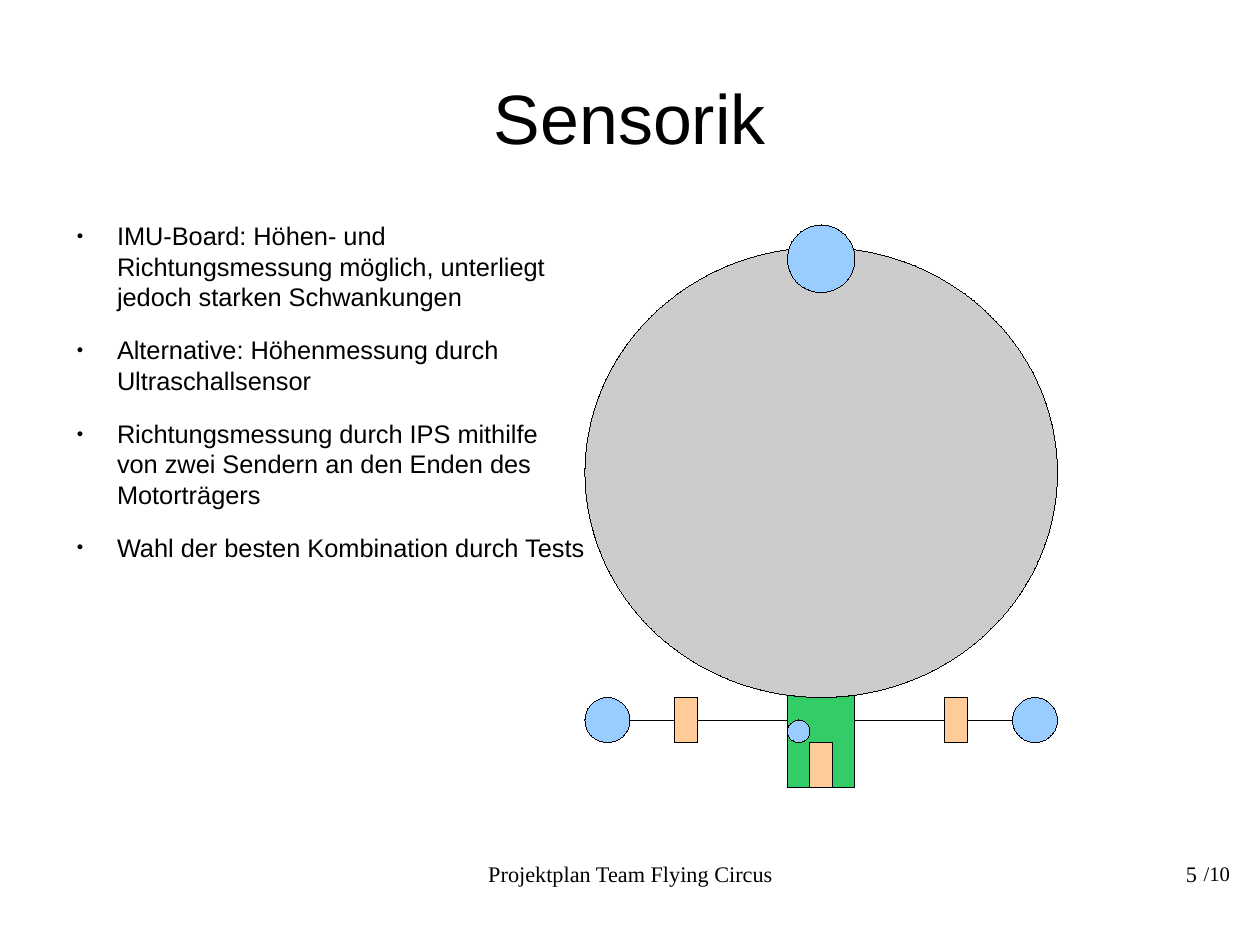
from lxml import etree
from pptx import Presentation
from pptx.dml.color import RGBColor
from pptx.enum.shapes import MSO_CONNECTOR, MSO_SHAPE
from pptx.enum.text import MSO_ANCHOR, MSO_AUTO_SIZE, PP_ALIGN
from pptx.oxml.ns import qn
from pptx.util import Emu, Pt

PX = 9000
HAIRLINE = Emu(1)
STRAIGHT = MSO_CONNECTOR.STRAIGHT
OVAL, RECTANGLE = MSO_SHAPE.OVAL, MSO_SHAPE.RECTANGLE
TOP, MIDDLE = MSO_ANCHOR.TOP, MSO_ANCHOR.MIDDLE
LEFT, CENTER, RIGHT = PP_ALIGN.LEFT, PP_ALIGN.CENTER, PP_ALIGN.RIGHT
NO_AUTOFIT = MSO_AUTO_SIZE.NONE

BLACK = RGBColor(0x00, 0x00, 0x00)
BALLOON_GRAY = RGBColor(0xCC, 0xCC, 0xCC)
SENSOR_BLUE = RGBColor(0x99, 0xCC, 0xFF)
MOTOR_ORANGE = RGBColor(0xFF, 0xCC, 0x99)
GONDOLA_GREEN = RGBColor(0x33, 0xCC, 0x66)

BULLETS = [
    "IMU-Board: Höhen- und Richtungsmessung möglich, unterliegt jedoch starken Schwankungen",
    "Alternative: Höhenmessung durch Ultraschallsensor",
    "Richtungsmessung durch IPS mithilfe von zwei Sendern an den Enden des Motorträgers",
    "Wahl der besten Kombination durch Tests",
]


def place(shape, box):
    """Move a shape to a box given in px."""
    shape.left, shape.top, shape.width, shape.height = (length * PX for length in box)


def prepare_frame(shape, anchor, margin_x=0, margin_y=0):
    """Give a text shape wrapped text with the given margins in px."""
    frame = shape.text_frame
    frame.word_wrap = True
    frame.auto_size = NO_AUTOFIT
    frame.vertical_anchor = anchor
    frame.margin_left = frame.margin_right = margin_x * PX
    frame.margin_top = frame.margin_bottom = margin_y * PX
    return frame


def style_paragraph(paragraph, size, font_name, alignment):
    """Set the font and alignment of a paragraph."""
    paragraph.alignment = alignment
    paragraph.font.size = Pt(size)
    paragraph.font.name = font_name
    paragraph.font.color.rgb = BLACK


def add_bullet(paragraph):
    """Give a paragraph a small round bullet and a hanging indent."""
    properties = paragraph._p.get_or_add_pPr()
    properties.set("marL", str(48 * PX))
    properties.set("indent", str(-36 * PX))
    color = etree.Element(qn("a:buClr"))
    etree.SubElement(color, qn("a:srgbClr"), val=str(BLACK))
    marks = [color,
             etree.Element(qn("a:buSzPct"), val="45000"),
             etree.Element(qn("a:buChar"), char="●")]
    for mark in marks:
        properties.insert_element_before(mark, "a:tabLst", "a:defRPr", "a:extLst")


def fill_title(slide, box):
    """Write the slide title."""
    title = slide.shapes.title
    place(title, box)
    paragraph = prepare_frame(title, MIDDLE).paragraphs[0]
    paragraph.text = "Sensorik"
    style_paragraph(paragraph, 44, "Arial", CENTER)


def fill_body(slide, box):
    """Write the bullet list."""
    body = slide.placeholders[1]
    place(body, box)
    frame = prepare_frame(body, TOP)
    frame.text = "\n".join(BULLETS)
    for paragraph in frame.paragraphs:
        style_paragraph(paragraph, 16, "Arial", LEFT)
        paragraph.space_before = Pt(0)
        paragraph.space_after = Pt(14.2)
        add_bullet(paragraph)


def outline(shape):
    """Draw the line of a shape as a black hairline."""
    shape.line.color.rgb = BLACK
    shape.line.width = HAIRLINE


def add_part(slide, kind, color, center_x, top, width, height):
    """Add one outlined part of the airship, centred on center_x."""
    shape = slide.shapes.add_shape(kind, 0, 0, 0, 0)
    place(shape, (center_x - width // 2, top, width, height))
    shape.shadow.inherit = False
    shape.fill.solid()
    shape.fill.fore_color.rgb = color
    outline(shape)


def draw_airship(slide, box):
    """Draw the balloon, gondola, motors and sensors inside the box."""
    left, top, width, height = box
    middle = left + width // 2
    bottom = top + height
    beam_y = bottom - 60
    beam = slide.shapes.add_connector(STRAIGHT, (left + 20) * PX, beam_y * PX,
                                      (left + width - 20) * PX, beam_y * PX)
    outline(beam)
    etree.SubElement(beam._element.spPr, qn("a:effectLst"))

    for side in (-1, 1):
        add_part(slide, RECTANGLE, MOTOR_ORANGE, middle + side * 120, beam_y - 20, 20, 40)
    add_part(slide, RECTANGLE, GONDOLA_GREEN, middle, bottom - 120, 60, 120)
    for side in (-1, 1):
        add_part(slide, OVAL, SENSOR_BLUE, middle + side * 190, beam_y - 20, 40, 40)
    add_part(slide, OVAL, BALLOON_GRAY, middle, top + 20, width, 400)
    add_part(slide, RECTANGLE, MOTOR_ORANGE, middle, bottom - 40, 20, 40)
    add_part(slide, OVAL, SENSOR_BLUE, middle, top, 60, 60)
    add_part(slide, OVAL, SENSOR_BLUE, middle - 20, beam_y, 20, 20)


def add_footer_text(slide, text, size, alignment, box, margin_x=0, margin_y=0):
    """Add one line of footer text in its box."""
    text_box = slide.shapes.add_textbox(0, 0, 0, 0)
    place(text_box, box)
    paragraph = prepare_frame(text_box, TOP, margin_x, margin_y).paragraphs[0]
    paragraph.text = text
    style_paragraph(paragraph, size, "Times New Roman", alignment)


def draw_footer(slide, box):
    """Write the project name and the page count along the footer box."""
    left, top, width, height = box
    right = left + width
    add_footer_text(slide, "/10", 13, LEFT, (right - 60, top, 60, 30), 10, 5)
    add_footer_text(slide, "Projektplan Team Flying Circus", 14, CENTER,
                    (left, top + 5, 355, height - 5))
    add_footer_text(slide, "5", 14, RIGHT, (right - 317, top + 5, 261, height - 5))


def main():
    """Build and save the slide."""
    presentation = Presentation()
    presentation.slide_width = 1120 * PX
    presentation.slide_height = 840 * PX
    slide = presentation.slides.add_slide(presentation.slide_layouts[1])
    fill_title(slide, (56, 39, 1008, 130))
    fill_body(slide, (56, 196, 464, 545))
    draw_airship(slide, (520, 200, 420, 500))
    draw_footer(slide, (383, 760, 737, 63))
    presentation.save("out.pptx")


if __name__ == "__main__":
    main()
